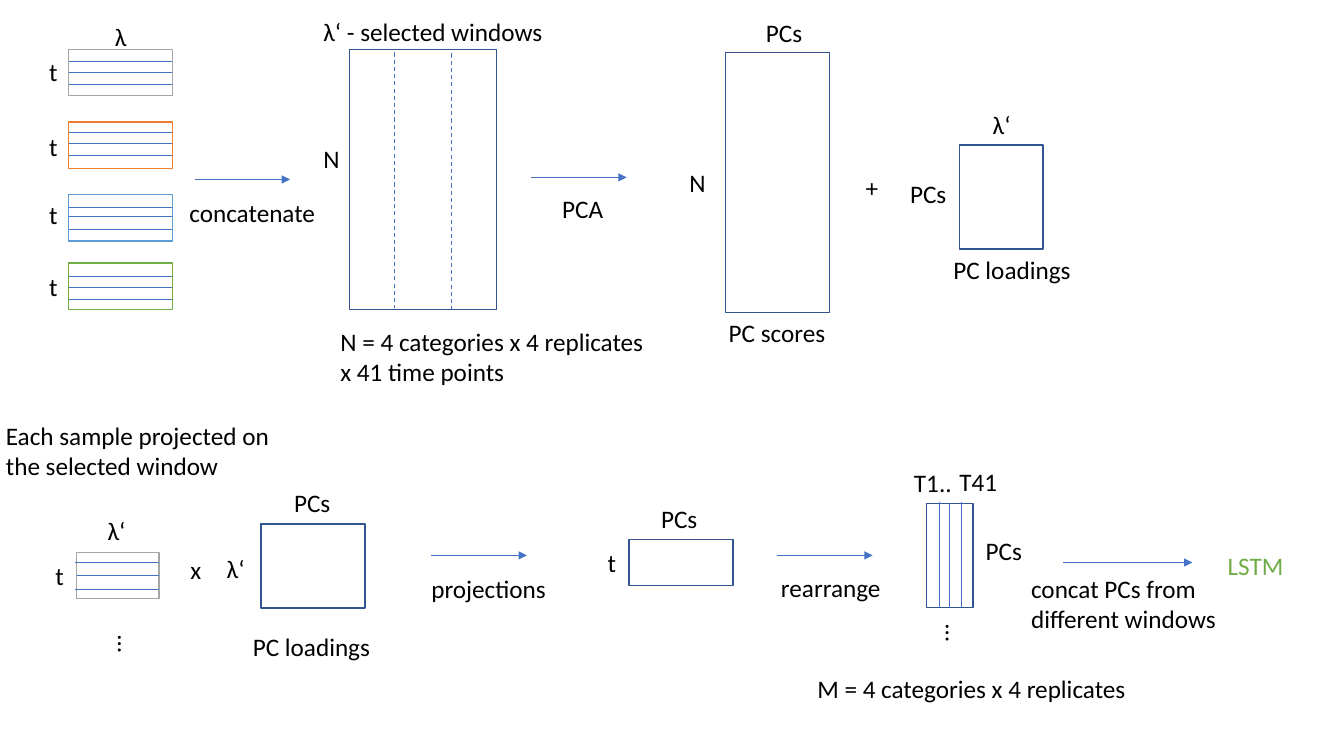
from dataclasses import dataclass

from lxml import etree
from pptx import Presentation
from pptx.dml.color import RGBColor
from pptx.enum.dml import MSO_LINE
from pptx.enum.shapes import MSO_CONNECTOR, MSO_SHAPE
from pptx.enum.text import MSO_AUTO_SIZE
from pptx.oxml.ns import qn
from pptx.util import Pt

RECTANGLE = MSO_SHAPE.RECTANGLE
STRAIGHT = MSO_CONNECTOR.STRAIGHT
DASH = MSO_LINE.DASH
GROW = MSO_AUTO_SIZE.SHAPE_TO_FIT_TEXT

BLACK, BLUE, NAVY = "000000", "4472C4", "325491"
GREY, ORANGE, SKY, GREEN = "A5A5A5", "ED7D31", "5B9BD5", "70AD47"

WIDE, LONG, SIDE, SHORT = 74.2, 185.8, 59.8, 33.1
T_WIDTH, N_WIDTH, LAMBDA_WIDTH, PCS_WIDTH, LOADINGS_WIDTH = 21, 26, 27.4, 42, 99.4
ARROW_LENGTH = 68.2


def colour(value):
    """Turn a hex string into a colour."""
    return RGBColor.from_string(value)


@dataclass
class Region:
    """A part of the page whose contents are placed from its top left corner."""

    page: object
    left: float
    top: float

    def rectangle(self, x, y, width, height, outline):
        """Draw an unfilled rectangle."""
        box = self.page.shapes.add_shape(
            RECTANGLE, Pt(self.left + x), Pt(self.top + y), Pt(width), Pt(height))
        box.shadow.inherit = False
        box.fill.background()
        box.line.color.rgb = colour(outline)
        box.line.width = Pt(1)

    def line(self, x, y, across, down, stroke=BLUE, width=0.5):
        """Draw a thin straight line and return it."""
        x, y = self.left + x, self.top + y
        rule = self.page.shapes.add_connector(
            STRAIGHT, Pt(x), Pt(y), Pt(x + across), Pt(y + down))
        rule.line.color.rgb = colour(stroke)
        rule.line.width = Pt(width)
        etree.SubElement(rule._element.spPr, qn("a:effectLst"))
        return rule

    def label(self, x, y, width, text, ink=BLACK, wrap=False, turn=0):
        """Write a label of one or more lines."""
        lines = text.split("\n")
        box = self.page.shapes.add_textbox(
            Pt(self.left + x), Pt(self.top + y), Pt(width), Pt(7.2 + 21.8 * len(lines)))
        box.rotation = turn
        frame = box.text_frame
        frame.text = text
        frame.word_wrap = wrap
        frame.auto_size = GROW
        for para in frame.paragraphs:
            para.font.name = "Calibri"
            para.font.size = Pt(18)
            para.font.color.rgb = colour(ink)


def matrix(region, width, height, labels, outline=NAVY):
    """Draw a matrix with the labels around it."""
    region.rectangle(0, 0, width, height, outline)
    for x, y, label_width, text in labels:
        region.label(x, y, label_width, text)


def step(region, x, y, width, text, length=ARROW_LENGTH, wrap=False):
    """Draw an arrow with the name of the step below it."""
    arrow = region.line(0, 0, length, 0)
    etree.SubElement(arrow.line._get_or_add_ln(), qn("a:tailEnd"), type="triangle")
    region.label(x, y, width, text, wrap=wrap)


def categories(region):
    """Stack the four category matrices with their rows."""
    region.label(25.9, -23.8, 23, "λ")
    stack = [
        (0, GREY, 1.4, (8.6, 16.6, 25.2)),
        (51.8, ORANGE, 2.9, (7.2, 15.1, 23.8)),
        (103.7, SKY, 0, (9.4, 15.8, 25.2)),
        (152.6, GREEN, 2.2, (9.4, 17.3, 25.9)),
    ]
    for top, outline, drop, rows in stack:
        category = Region(region.page, region.left, region.top + top)
        matrix(category, WIDE, SHORT, [(-20.9, drop, T_WIDTH, "t")], outline)
        for row in rows:
            category.line(0, row, WIDE, 0)


def selected_windows(region):
    """Draw the concatenated matrix and its window borders."""
    matrix(region, 105.1, LONG, [
        (-25.9, 63.4, N_WIDTH, "N"),
        (-25.9, -27.4, 172.8, "λ‘ - selected windows"),
        (-13.7, 194.4, 237.6, "N = 4 categories x 4 replicates \nx 41 time points"),
    ])
    for x, y in ((31.7, 2.2), (72.7, 2.9)):
        border = region.line(x, y, 0, 182.2, width=0.75)
        border.line.dash_style = DASH


def sample(region):
    """Draw one sample with its rows."""
    matrix(region, 59, SHORT, [
        (-22.3, 2.2, T_WIDTH, "t"), (15.1, -30.3, LAMBDA_WIDTH, "λ‘")], GREY)
    for x, y in ((-1.4, 7.2), (0, 16.6), (-1.4, 26.6)):
        region.line(x, y, 59 - x, 0)
    region.label(23, 51.8, LAMBDA_WIDTH, "…", turn=90)


def time_columns(region):
    """Draw the rearranged matrix with one column per time point."""
    matrix(region, SHORT, WIDE, [
        (35, 19.1, PCS_WIDTH, "PCs"),
        (-16.2, -29.1, 42, "T1.."),
        (16.2, -29.8, 42, "T41"),
        (-85.3, 117.8, 241.2, "M = 4 categories x 4 replicates "),
    ])
    for x, y in ((9.1, -1), (16.2, 0), (24.9, -1)):
        region.line(x, y, 0, 74.7)
    region.label(6.9, 78.9, LAMBDA_WIDTH, "…", turn=90)


def analysis(region):
    """Lay out the upper row, from categories to scores and loadings."""
    page, left, top = region.page, region.left, region.top
    categories(Region(page, left, top))
    step(Region(page, left + 90, top + 92.9), -10.8, 9.4, 105, "concatenate")
    selected_windows(Region(page, left + 200.8, top))
    step(Region(page, left + 330.4, top + 91.4), 15.1, 7.9, 44, "PCA")
    matrix(Region(page, left + 469.4, top + 2.1), WIDE, LONG, [
        (-33.1, 78.5, N_WIDTH, "N"), (21.6, -28.8, PCS_WIDTH, "PCs"),
        (-5, LONG, 84.2, "PC scores")])
    region.label(562.3, 84.2, 24, "+")
    matrix(Region(page, left + 636.4, top + 68.4), SIDE, WIDE, [
        (-42.4, 20.1, PCS_WIDTH, "PCs"), (16.6, -29.5, LAMBDA_WIDTH, "λ‘"),
        (-11.5, WIDE, LOADINGS_WIDTH, "PC loadings")])


def projection(region):
    """Lay out the lower row, from one sample to the network."""
    page, left, top = region.page, region.left, region.top
    region.label(-2.9, 0, 209, "Each sample projected on \nthe selected window")
    sample(Region(page, left + 54.7, top + 98))
    region.label(128.9, 95.8, 22.3, "x")
    matrix(Region(page, left + 186.5, top + 77.8), WIDE, SIDE, [
        (16.5, -30.2, PCS_WIDTH, "PCs"), (-31.7, 17.3, LAMBDA_WIDTH, "λ‘"),
        (-13, 72.7, LOADINGS_WIDTH, "PC loadings")])
    step(Region(page, left + 308.2, top + 100.1), -7.2, 9.4, 97.2, "projections")
    matrix(Region(page, left + 449.3, top + 88.6), WIDE, SHORT, [
        (15.8, -29.5, PCS_WIDTH, "PCs"), (-22.3, 2.2, T_WIDTH, "t")])
    step(Region(page, left + 555.1, top + 100.1), -4.3, 8.6, 86.4, "rearrange")
    time_columns(Region(page, left + 662, top + 63))
    step(Region(page, left + 759.6, top + 105.2), -30.2, 4.3, 160,
         "concat PCs from\ndifferent windows", length=92.2, wrap=True)
    region.label(869.8, 92.9, 55, "LSTM", ink=GREEN)


deck = Presentation()
deck.slide_width, deck.slide_height = Pt(960), Pt(540)
slide = deck.slides.add_slide(deck.slide_layouts[6])
analysis(Region(slide, 49, 35.3))
projection(Region(slide, 0, 296.6))
deck.save("out.pptx")
